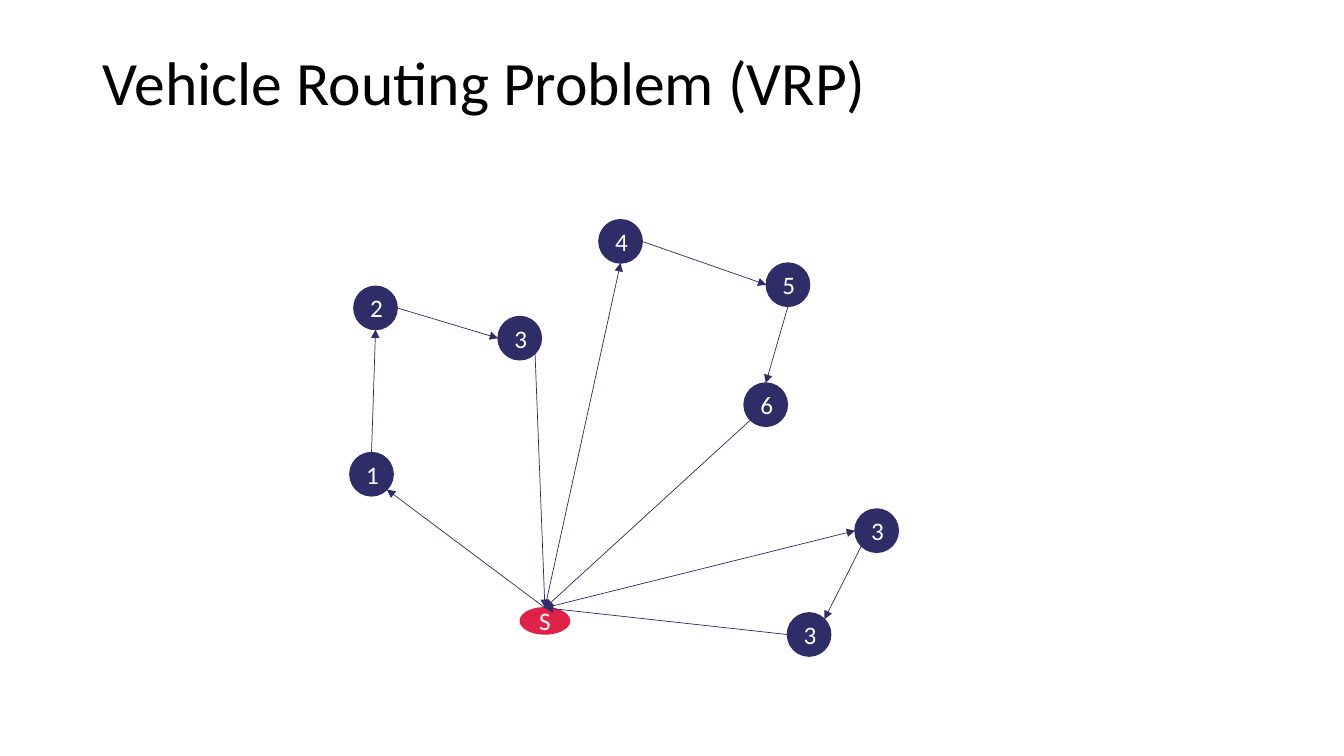
from math import cos, radians, sin

from lxml.etree import SubElement
from pptx import Presentation
from pptx.dml.color import RGBColor
from pptx.enum.shapes import MSO_CONNECTOR, MSO_SHAPE
from pptx.enum.text import MSO_ANCHOR, MSO_AUTO_SIZE, PP_ALIGN
from pptx.oxml.ns import qn
from pptx.util import Inches, Pt

NAVY = "2E2D67"
RED = "E02246"
FONT = "Calibri"
STOP_SIZE = 0.43
TOP_SITE = 0

# Angle of each attachment point, clockwise from the right-hand side
SITE_ANGLES = {"right": 0, "bottom right": 45, "bottom": 90, "bottom left": 135,
               "left": 180, "top": 270, "top right": 315}

# Name: label, left, top, width, height, colour
nodes = {"depot": ("S", 5.16, 6.03, 0.49, 0.26, RED)}
stops = [
    ("west", "1", 3.47, 4.49),
    ("northwest", "2", 3.51, 2.84),
    ("centre", "3", 4.94, 3.14),
    ("north", "4", 5.94, 2.18),
    ("southeast", "3", 7.81, 6.08),
    ("east", "3", 8.48, 5.05),
    ("inner east", "6", 7.38, 3.8),
    ("northeast", "5", 7.6, 2.61),
]
for name, label, left, top in stops:
    nodes[name] = (label, left, top, STOP_SIZE, STOP_SIZE, NAVY)

# Start node, start side, end node, end side
legs = [
    ("depot", "top", "west", "bottom right"),
    ("west", "top", "northwest", "bottom"),
    ("northwest", "right", "centre", "left"),
    ("centre", "bottom right", "depot", "top"),
    ("depot", "top", "north", "bottom"),
    ("north", "right", "northeast", "left"),
    ("depot", "top", "east", "left"),
    ("east", "bottom left", "southeast", "top right"),
    ("southeast", "left", "depot", "top"),
    ("northeast", "bottom", "inner east", "top"),
    ("inner east", "bottom left", "depot", "top"),
]


def color(hex_string):
    return RGBColor.from_string(hex_string)


def site_position(name, side):
    """Return x and y of a point on the outline of a node."""
    label, left, top, width, height, fill = nodes[name]
    angle = radians(SITE_ANGLES[side])
    return (Inches(left + width / 2 * (1 + cos(angle))),
            Inches(top + height / 2 * (1 + sin(angle))))


presentation = Presentation()
presentation.slide_width = Inches(13.33)
presentation.slide_height = Inches(7.5)
slide = presentation.slides.add_slide(presentation.slide_layouts[5])

title = slide.shapes.title
title.left, title.top = Inches(0.92), Inches(0.4)
title.width, title.height = Inches(11.5), Inches(0.9)
title.text_frame.text = "Vehicle Routing Problem (VRP)"
title.text_frame.auto_size = MSO_AUTO_SIZE.NONE
title.text_frame.vertical_anchor = MSO_ANCHOR.MIDDLE
paragraph = title.text_frame.paragraphs[0]
paragraph.alignment = PP_ALIGN.LEFT
paragraph.line_spacing = 0.9
paragraph.font.name = FONT
paragraph.font.size = Pt(44)
paragraph.font.color.rgb = color("000000")

shapes = {}
for name, (label, left, top, width, height, fill) in nodes.items():
    shape = slide.shapes.add_shape(MSO_SHAPE.OVAL, Inches(left), Inches(top),
                                   Inches(width), Inches(height))
    shape.shadow.inherit = False
    shape.fill.solid()
    shape.fill.fore_color.rgb = color(fill)
    shape.line.color.rgb = color(fill)
    shape.line.width = Pt(1)
    shape.text_frame.text = label
    shape.text_frame.vertical_anchor = MSO_ANCHOR.MIDDLE
    paragraph = shape.text_frame.paragraphs[0]
    paragraph.alignment = PP_ALIGN.CENTER
    paragraph.font.name = FONT
    paragraph.font.size = Pt(18)
    paragraph.font.color.rgb = color("FFFFFF")
    shapes[name] = shape

for start, start_side, end, end_side in legs:
    arrow = slide.shapes.add_connector(MSO_CONNECTOR.STRAIGHT,
                                       *site_position(start, start_side),
                                       *site_position(end, end_side))
    if start_side == "top":
        arrow.begin_connect(shapes[start], TOP_SITE)
    if end_side == "top":
        arrow.end_connect(shapes[end], TOP_SITE)
    arrow.line.color.rgb = color(NAVY)
    arrow.line.width = Pt(0.5)
    SubElement(arrow.line._get_or_add_ln(), qn("a:tailEnd"), type="triangle")
    SubElement(arrow._element.spPr, qn("a:effectLst"))

presentation.save("out.pptx")
